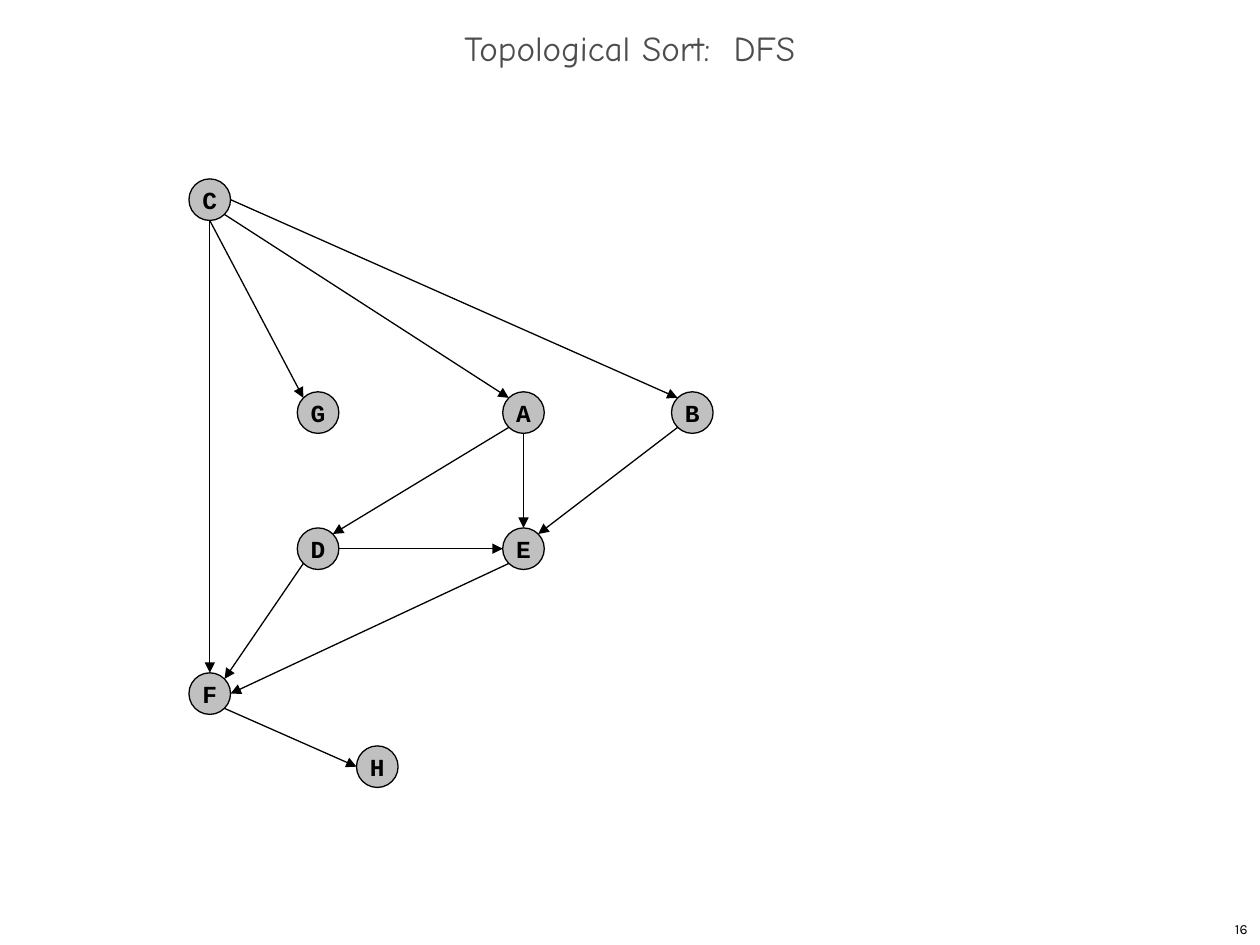
from dataclasses import dataclass
from enum import Enum

from lxml.etree import SubElement
from pptx import Presentation
from pptx.dml.color import RGBColor
from pptx.enum.shapes import MSO_CONNECTOR as Connector, MSO_SHAPE as Shape
from pptx.enum.text import MSO_ANCHOR as Anchor, MSO_AUTO_SIZE as AutoSize, PP_ALIGN as Align
from pptx.oxml.ns import qn
from pptx.shapes.autoshape import Shape as AutoShape
from pptx.slide import Slide
from pptx.util import Inches, Pt

BLACK = RGBColor(0x00, 0x00, 0x00)
TITLE_GRAY = RGBColor(0x4D, 0x4D, 0x4D)
NODE_GRAY = RGBColor(0xC0, 0xC0, 0xC0)

DIAMETER = 0.33
DIAGONAL = 0.71
LINE_WIDTH = Pt(0.75)

TITLE_FONT = {"name": "Comic Neue", "size": Pt(20), "bold": False}
NODE_FONT = {"name": "Courier New", "size": Pt(14), "bold": True}
NUMBER_FONT = {"name": "Karla", "size": Pt(8), "bold": False}


class Side(Enum):
    TOP = (0, -1)
    BOTTOM = (0, 1)
    LEFT = (-1, 0)
    RIGHT = (1, 0)
    TOP_LEFT = (-DIAGONAL, -DIAGONAL)
    TOP_RIGHT = (DIAGONAL, -DIAGONAL)
    BOTTOM_LEFT = (-DIAGONAL, DIAGONAL)
    BOTTOM_RIGHT = (DIAGONAL, DIAGONAL)


@dataclass(frozen=True)
class Node:
    label: str
    left: float
    top: float

    def point(self, side: Side) -> tuple[Inches, Inches]:
        dx, dy = side.value
        radius = DIAMETER / 2
        return (Inches(self.left + radius * (1 + dx)),
                Inches(self.top + radius * (1 + dy)))


@dataclass(frozen=True)
class Edge:
    source: str
    exit: Side
    target: str
    entry: Side


NODES = [
    Node("C", 1.5, 1.42),
    Node("G", 2.36, 3.11),
    Node("A", 3.99, 3.11),
    Node("B", 5.33, 3.11),
    Node("D", 2.36, 4.19),
    Node("E", 3.99, 4.19),
    Node("F", 1.5, 5.34),
    Node("H", 2.83, 5.92),
]

EDGES = [
    Edge("C", Side.BOTTOM, "F", Side.TOP),
    Edge("C", Side.BOTTOM, "G", Side.TOP_LEFT),
    Edge("C", Side.BOTTOM_RIGHT, "A", Side.TOP_LEFT),
    Edge("C", Side.RIGHT, "B", Side.TOP_LEFT),
    Edge("A", Side.BOTTOM_LEFT, "D", Side.TOP_RIGHT),
    Edge("A", Side.BOTTOM, "E", Side.TOP),
    Edge("B", Side.BOTTOM_LEFT, "E", Side.TOP_RIGHT),
    Edge("D", Side.RIGHT, "E", Side.LEFT),
    Edge("D", Side.BOTTOM_LEFT, "F", Side.TOP_RIGHT),
    Edge("E", Side.BOTTOM_LEFT, "F", Side.RIGHT),
    Edge("F", Side.BOTTOM_RIGHT, "H", Side.LEFT),
]


def write(holder: AutoShape, text: str, font_format: dict, color: RGBColor,
          align: Align, wrap: bool) -> None:
    frame = holder.text_frame
    frame.text = text
    frame_format = {"word_wrap": wrap, "auto_size": AutoSize.NONE,
                    "vertical_anchor": Anchor.MIDDLE}
    for name, value in frame_format.items():
        setattr(frame, name, value)
    paragraph = frame.paragraphs[0]
    paragraph.alignment = align
    font = paragraph.runs[0].font
    for name, value in font_format.items():
        setattr(font, name, value)
    font.color.rgb = color


def draw_title(slide: Slide, text: str) -> None:
    title = slide.shapes.title
    bounds = {"left": 0, "top": 0.17, "width": 10, "height": 0.5}
    for name, value in bounds.items():
        setattr(title, name, Inches(value))
    write(title, text, TITLE_FONT, TITLE_GRAY, Align.CENTER, True)
    title.text_frame.paragraphs[0].line_spacing = 0.7


def draw_page_number(slide: Slide, text: str) -> None:
    number = slide.shapes.add_textbox(Inches(7.92), Inches(7.25), Inches(2.08), Inches(0.25))
    write(number, text, NUMBER_FONT, BLACK, Align.RIGHT, False)


def draw_node(slide: Slide, node: Node) -> None:
    circle = slide.shapes.add_shape(Shape.OVAL, Inches(node.left), Inches(node.top),
                                    Inches(DIAMETER), Inches(DIAMETER))
    circle.shadow.inherit = False
    circle.fill.solid()
    circle.fill.fore_color.rgb = NODE_GRAY
    circle.line.color.rgb = BLACK
    circle.line.width = LINE_WIDTH
    write(circle, node.label, NODE_FONT, BLACK, Align.CENTER, False)


def draw_edge(slide: Slide, edge: Edge, nodes: dict[str, Node]) -> None:
    start = nodes[edge.source].point(edge.exit)
    end = nodes[edge.target].point(edge.entry)
    arrow = slide.shapes.add_connector(Connector.STRAIGHT, *start, *end)
    arrow.line.color.rgb = BLACK
    arrow.line.width = LINE_WIDTH
    SubElement(arrow.line._get_or_add_ln(), qn("a:tailEnd"), type="triangle")
    SubElement(arrow._element.spPr, qn("a:effectLst"))


def main() -> None:
    deck = Presentation()
    deck.slide_width, deck.slide_height = Inches(10), Inches(7.5)
    slide = deck.slides.add_slide(deck.slide_layouts[5])
    draw_page_number(slide, "16")
    draw_title(slide, "Topological Sort:  DFS")
    for node in NODES:
        draw_node(slide, node)
    nodes_by_label = {node.label: node for node in NODES}
    for edge in EDGES:
        draw_edge(slide, edge, nodes_by_label)
    deck.save("out.pptx")


if __name__ == "__main__":
    main()
